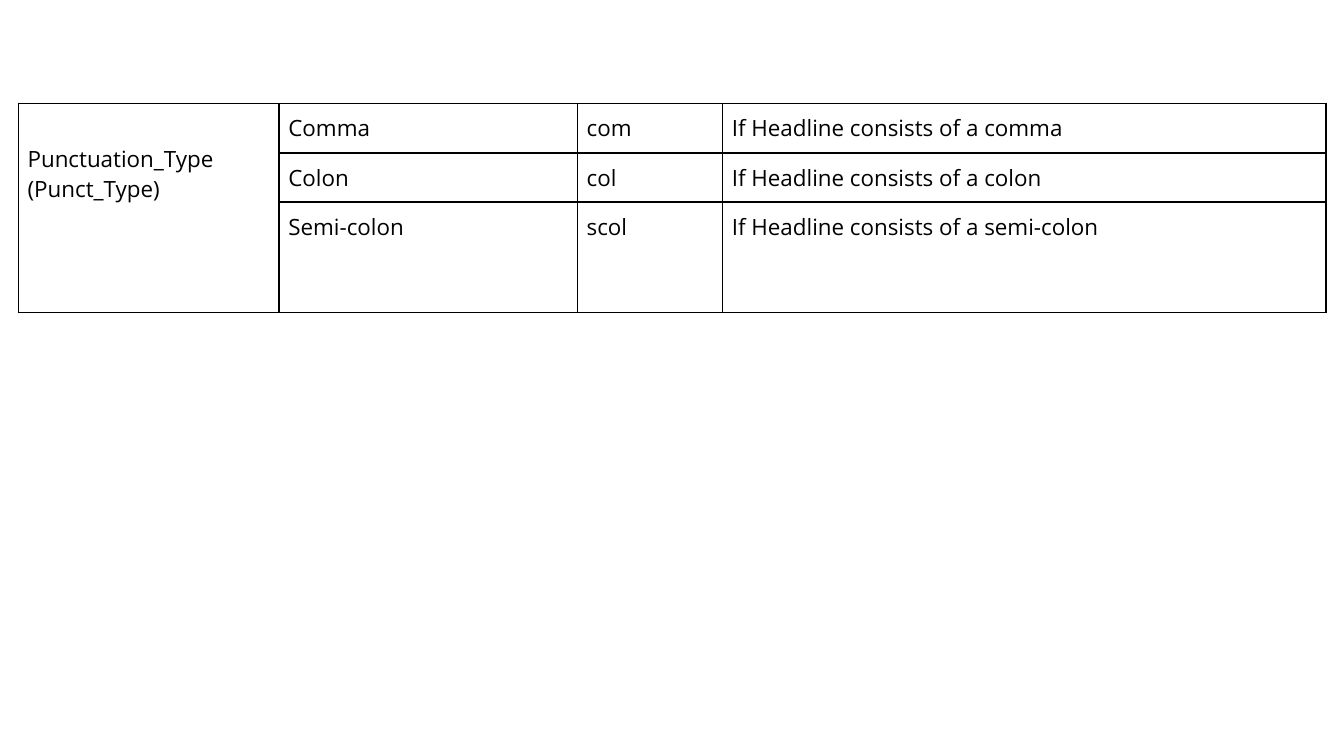
from lxml.etree import SubElement
from pptx import Presentation
from pptx.dml.color import RGBColor
from pptx.oxml.ns import qn
from pptx.util import Pt

BLACK = RGBColor(0, 0, 0)
FONT = "Open Sans"
CATEGORY = "Punctuation_Type\n(Punct_Type)"
ROWS = [
    ("Comma", "com", "If Headline consists of a comma"),
    ("Colon", "col", "If Headline consists of a colon"),
    ("Semi-colon", "scol", "If Headline consists of a semi-colon"),
]
COLUMN_WIDTHS = [139.7, 159.8, 77.8, 323.3]
ROW_HEIGHTS = [26.5, 26.5, 59]
LEFT, TOP = 9.8, 55.4
INSET = 5
CATEGORY_TOP = 21.3


def write_cell(cell, text, size=12, color=BLACK, top=INSET):
    cell.margin_left = cell.margin_right = cell.margin_bottom = Pt(INSET)
    cell.margin_top = Pt(top)
    cell.text = text
    for para in cell.text_frame.paragraphs:
        para.font.name = FONT
        para.font.size = Pt(size)
        para.font.color.rgb = color


def draw_borders(cell, width=1, color=BLACK):
    properties = cell._tc.get_or_add_tcPr()
    for side in ("a:lnL", "a:lnR", "a:lnT", "a:lnB"):
        line = SubElement(properties, qn(side), w=str(Pt(width)))
        fill = SubElement(line, qn("a:solidFill"))
        SubElement(fill, qn("a:srgbClr"), val=str(color))


deck = Presentation()
deck.slide_width, deck.slide_height = Pt(720), Pt(405)
page = deck.slides.add_slide(deck.slide_layouts[6])

table = page.shapes.add_table(
    len(ROW_HEIGHTS), len(COLUMN_WIDTHS), Pt(LEFT), Pt(TOP),
    Pt(sum(COLUMN_WIDTHS)), Pt(sum(ROW_HEIGHTS)),
).table
table.first_row = table.horz_banding = False
for column, width in zip(table.columns, COLUMN_WIDTHS):
    column.width = Pt(width)
for row, height in zip(table.rows, ROW_HEIGHTS):
    row.height = Pt(height)

for cell in table.iter_cells():
    draw_borders(cell)
    cell.fill.background()

category_cell = table.cell(0, 0)
category_cell.merge(table.cell(len(ROWS) - 1, 0))
write_cell(category_cell, CATEGORY, top=CATEGORY_TOP)
for row_index, texts in enumerate(ROWS):
    for column_index, text in enumerate(texts, start=1):
        write_cell(table.cell(row_index, column_index), text)

deck.save("out.pptx")
